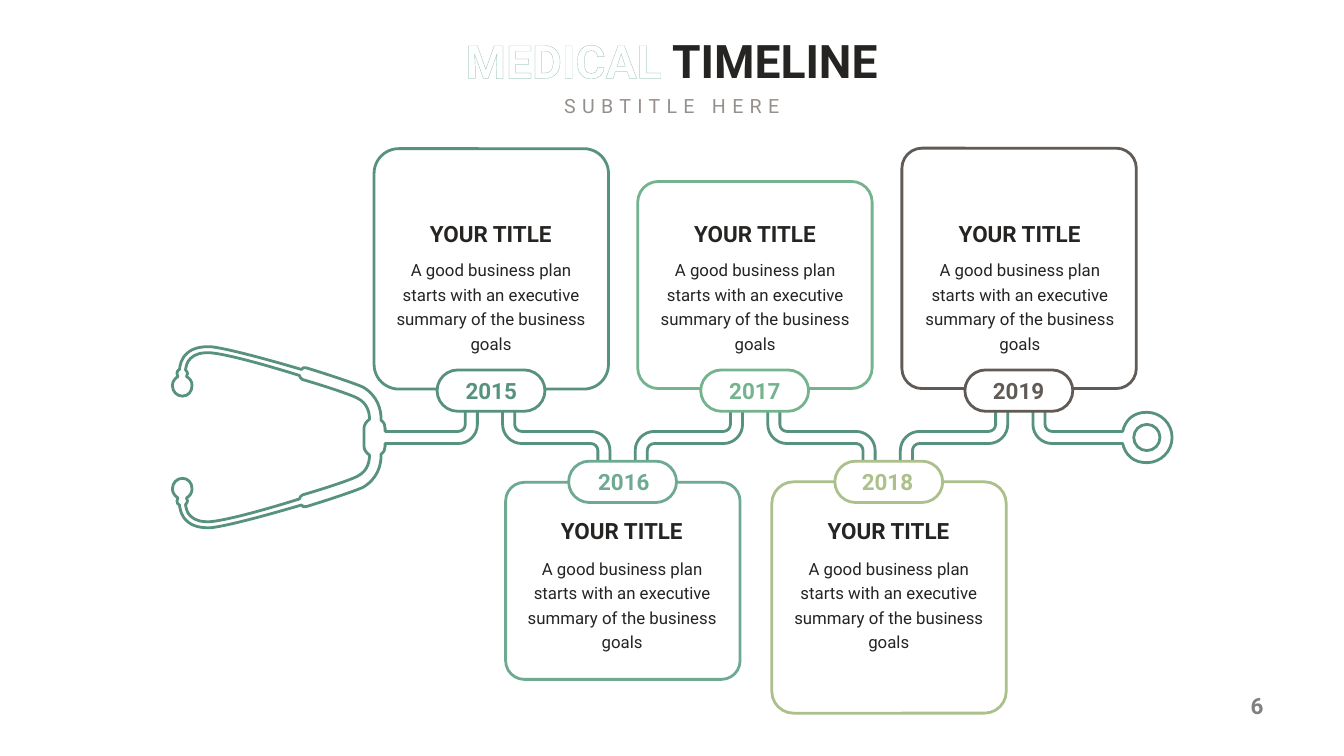
"""Build the medical timeline slide: a stethoscope tube linking five dated cards."""
import dataclasses
from typing import Any, NamedTuple, Optional

import pptx
import pptx.dml.color
import pptx.enum.shapes
import pptx.enum.text
import pptx.oxml.ns
import pptx.util
from lxml import etree

PX = 9144
WIDTH, HEIGHT = 2666, 1500
MID_Y = 868
TUBE_HALF, BEND_RADIUS = 12, 26
LOOP_X, LOOP_PITCH, LOOP_COUNT = 972, 263, 5
LOOP_HALF, LOOP_DEPTH = 37, 75
NECK_X, DISC_X, DISC_RADIUS, HOLE_RADIUS = 764, 2275, 50, 26
CIRCLE = 0.55
PILL_W, PILL_H = 214, 82
BODY = "A good business plan starts with an executive summary of the business goals"

ANCHOR = pptx.enum.text.MSO_ANCHOR
ALIGN = pptx.enum.text.PP_ALIGN
GROW = pptx.enum.text.MSO_AUTO_SIZE.SHAPE_TO_FIT_TEXT
ROUNDED = pptx.enum.shapes.MSO_SHAPE.ROUNDED_RECTANGLE

Point = tuple[float, float]
Segment = list[Point]


@dataclasses.dataclass(frozen=True)
class Theme:
    font: str = "Roboto"
    white: str = "FFFFFF"
    ink: str = "262422"
    muted: str = "96908D"
    number: str = "808080"
    tube: str = "57917F"
    outline: str = "6DAA91"
    title_size: int = 66
    heading_size: int = 32
    subtitle_size: int = 28
    body_size: int = 24
    line_width: int = 4


class Box(NamedTuple):
    x: int
    y: int
    w: int
    h: int


class Card(NamedTuple):
    year: str
    color: str
    box: Box
    radius: int
    year_x: int
    text_x: int
    above: bool


THEME = Theme()
CARDS = [
    Card("2015", "57917F", Box(742, 295, 465, 477), 49, 913, 757, True),
    Card("2017", "73B38E", Box(1265, 360, 465, 411), 41, 1436, 1281, True),
    Card("2019", "605B56", Box(1789, 294, 465, 477), 40, 1959, 1806, True),
    Card("2016", "6DAA91", Box(1003, 957, 465, 391), 37, 1176, 1017, False),
    Card("2018", "ACC08C", Box(1531, 956, 465, 459), 43, 1699, 1546, False),
]

HEADSET_START = (NECK_X, 850)
HEADSET_CURVES = [
    (764, 843, 762, 838, 756, 834), (756, 833, 756, 832, 756, 832),
    (756, 812, 749, 785, 720, 768), (707, 762, 654, 744, 608, 730),
    (604, 728, 599, 730, 598, 733), (530, 713, 453, 692, 419, 688),
    (398, 687, 381, 691, 370, 702), (359, 712, 357, 726, 356, 733),
    (353, 734, 351, 737, 351, 741), (351, 743, 352, 745, 353, 747),
    (347, 751, 342, 757, 342, 765), (342, 777, 351, 786, 362, 786),
    (373, 786, 381, 777, 381, 765), (381, 757, 377, 751, 370, 747),
    (371, 745, 372, 743, 372, 741), (372, 738, 370, 736, 368, 734),
    (369, 729, 370, 718, 378, 711), (387, 702, 401, 699, 418, 700),
    (451, 703, 527, 724, 594, 745), (594, 748, 597, 751, 600, 753),
    (658, 770, 700, 785, 709, 790), (731, 801, 733, 822, 733, 832),
    (727, 836, 722, 843, 722, 850),
]


def rgb(value: str) -> pptx.dml.color.RGBColor:
    return pptx.dml.color.RGBColor.from_string(value)


def apply(target: Any, values: dict[str, Any]) -> None:
    for name, value in values.items():
        setattr(target, name, value)


def place(box: Box) -> list[pptx.util.Emu]:
    return [pptx.util.Emu(v * PX) for v in box]


def backwards(start: Point, segments: list[Segment]) -> list[Segment]:
    """Reverse a run of segments, closing with its start point."""
    points = [start] + [seg[-1] for seg in segments]
    return [seg[-2::-1] + [points[i]] for i, seg in reversed(list(enumerate(segments)))]


def bend(x: float, y: float, radius: float, before: Point, after: Point) -> list[Segment]:
    """Run up to a corner and round it, given unit directions to its neighbours."""
    def along(direction: Point, reach: float) -> Point:
        return x + direction[0] * reach, y + direction[1] * reach
    pull = radius * (1 - CIRCLE)
    return [[along(before, radius)],
            [along(before, pull), along(after, pull), along(after, radius)]]


def circle(x: float, y: float, radius: float) -> list[Segment]:
    """Trace a full circle from its left point by way of its lowest."""
    around = [(-1, 0), (0, 1), (1, 0), (0, -1), (-1, 0)]
    segments = []
    for (ax, ay), (bx, by) in zip(around, around[1:]):
        unit = [(ax + CIRCLE * bx, ay + CIRCLE * by),
                (bx + CIRCLE * ax, by + CIRCLE * ay), (bx, by)]
        segments.append([(x + radius * u, y + radius * v) for u, v in unit])
    return segments


def tube_edge(side: int) -> list[Segment]:
    """Trace the lower (1) or upper (-1) edge of the tube from left to right."""
    segments: list[Segment] = []
    y = MID_Y + side * TUBE_HALF
    for i in range(LOOP_COUNT):
        x, turn = LOOP_X + i * LOOP_PITCH, 1 if i % 2 else -1
        shift = TUBE_HALF * side * turn
        half, far = LOOP_HALF + shift, y + turn * LOOP_DEPTH
        inner, outer = BEND_RADIUS - shift, BEND_RADIUS + shift
        segments += bend(x - half, y, inner, (-1, 0), (0, turn))
        segments += bend(x - half, far, outer, (0, -turn), (1, 0))
        segments += bend(x + half, far, outer, (-1, 0), (0, -turn))
        segments += bend(x + half, y, inner, (0, turn), (1, 0))
    return segments + [[(DISC_X - DISC_RADIUS + 2, y)]]


def style_shape(sp: Any, color: str, fill: Optional[str]) -> None:
    sp.shadow.inherit = False
    if fill:
        sp.fill.solid()
        sp.fill.fore_color.rgb = rgb(fill)
    else:
        sp.fill.background()
    sp.line.color.rgb = rgb(color)
    sp.line.width = pptx.util.Pt(THEME.line_width)


def draw_curves(s: Any, contours: list[list[Segment]]) -> Any:
    """Build a freeform through the segment ends, then bend its lines into cubics."""
    ends = [[(x * PX, y * PX) for x, y in (seg[-1] for seg in part)] for part in contours]
    builder = s.shapes.build_freeform(*ends[0][0], scale=1.0)
    for i, part in enumerate(ends):
        if i:
            builder.move_to(*part[0])
        builder.add_line_segments(part[1:], close=True)
    sp = builder.convert_to_shape()
    lines = list(sp._element.iter(pptx.oxml.ns.qn("a:lnTo")))
    for line, seg in zip(lines, [seg for part in contours for seg in part[1:]]):
        if len(seg) == 3:
            curve = etree.Element(pptx.oxml.ns.qn("a:cubicBezTo"))
            for x, y in seg:
                etree.SubElement(curve, pptx.oxml.ns.qn("a:pt"),
                                 x=str(round(x * PX - sp.left)), y=str(round(y * PX - sp.top)))
            line.getparent().replace(line, curve)
    return sp


def draw_stethoscope(s: Any) -> None:
    top = [[c[:2], c[2:4], c[4:]] for c in HEADSET_CURVES]
    bottom = [[(x, 2 * MID_Y - 1 - y) for x, y in seg] for seg in backwards(HEADSET_START, top)]
    low, high = MID_Y + TUBE_HALF, MID_Y - TUBE_HALF
    crossing = [[(722, 2 * MID_Y - 1 - 850)]]
    body = ([[HEADSET_START]] + top + crossing + bottom + [[(NECK_X, low)]] + tube_edge(1)
            + disc_rim() + backwards((NECK_X, high), tube_edge(-1)))
    hole = circle(DISC_X, MID_Y, HOLE_RADIUS)
    sp = draw_curves(s, [body, [[hole[-1][-1]]] + hole])
    style_shape(sp, THEME.tube, THEME.white)


def disc_rim() -> list[Segment]:
    """Trace the disc from the tube's lower edge round to its upper edge."""
    rim = circle(DISC_X, MID_Y, DISC_RADIUS)
    left, pull = DISC_X - DISC_RADIUS + 2, 22
    rim[0][0] = (left + 5, MID_Y + TUBE_HALF + pull)
    rim[-1][1:] = [(left + 5, MID_Y - TUBE_HALF - pull), (left, MID_Y - TUBE_HALF)]
    return rim


def round_rect(s: Any, box: Box, radius: int, color: str, fill: Optional[str] = None) -> None:
    sp = s.shapes.add_shape(ROUNDED, *place(box))
    sp.adjustments[0] = radius / min(box.w, box.h)
    style_shape(sp, color, fill)


def write(sp: Any, text: str, size: int, color: str, bold: bool = True, spacing: int = 0,
          align: Any = ALIGN.CENTER, **frame: Any) -> Any:
    tf = sp.text_frame
    apply(tf, {"word_wrap": False, "vertical_anchor": ANCHOR.TOP, "auto_size": GROW, **frame})
    p = tf.paragraphs[0]
    p.alignment = align
    r = p.add_run()
    r.text = text
    apply(r.font, {"name": THEME.font, "size": pptx.util.Pt(size), "bold": bold})
    r.font.color.rgb = rgb(color)
    if spacing:
        r.font._element.set("spc", str(spacing * 100))
    return r


def text_box(s: Any, box: Box, *args: Any, **kwargs: Any) -> Any:
    sp = s.shapes.add_textbox(*place(box))
    write(sp, *args, **kwargs)
    return sp


def outline_text(r: Any, color: str, width: int) -> None:
    qn = pptx.oxml.ns.qn
    ln = etree.Element(qn("a:ln"), w=str(pptx.util.Pt(width)))
    etree.SubElement(etree.SubElement(ln, qn("a:solidFill")), qn("a:srgbClr"), val=color)
    r.font._element.insert(0, ln)


def draw_frame(s: Any, card: Card) -> None:
    pill = Box(card.box.x + (card.box.w - PILL_W) // 2, 734 if card.above else 915, PILL_W, PILL_H)
    round_rect(s, card.box, card.radius, card.color)
    round_rect(s, pill, PILL_H // 2, card.color, THEME.white)


def draw_text(s: Any, card: Card) -> None:
    year_y, title_y, body_y = (743, 431, 498) if card.above else (924, 1021, 1087)
    anchor = ANCHOR.BOTTOM if card.above else ANCHOR.TOP
    text_box(s, Box(card.year_x, year_y, 123, 64), card.year, THEME.heading_size, card.color,
             vertical_anchor=ANCHOR.MIDDLE)
    text_box(s, Box(card.text_x + 84, title_y, 265, 64), "YOUR TITLE", THEME.heading_size,
             THEME.ink, vertical_anchor=anchor)
    side, edge = pptx.util.Emu(24 * PX), pptx.util.Emu(12 * PX)
    sp = text_box(s, Box(card.text_x, body_y, 434, 216), BODY, THEME.body_size, THEME.ink,
                  bold=False, word_wrap=True, vertical_anchor=anchor, margin_left=side,
                  margin_right=side, margin_top=edge, margin_bottom=edge)
    sp.text_frame.paragraphs[0].line_spacing = pptx.util.Pt(35)


def draw_title(s: Any) -> None:
    sp = s.shapes.title
    apply(sp, dict(zip(("left", "top", "width", "height"), place(Box(911, 59, 843, 121)))))
    outline_text(write(sp, "MEDICAL", THEME.title_size, THEME.white), THEME.outline, 2)
    write(sp, " TIMELINE", THEME.title_size, THEME.ink)
    text_box(s, Box(1097, 181, 471, 57), "SUBTITLE HERE", THEME.subtitle_size, THEME.muted,
             bold=False, spacing=9)


def main() -> None:
    prs = pptx.Presentation()
    apply(prs, {"slide_width": WIDTH * PX, "slide_height": HEIGHT * PX})
    s = prs.slides.add_slide(prs.slide_layouts[5])
    draw_stethoscope(s)
    for draw in (draw_frame, draw_text):
        for card in CARDS:
            draw(s, card)
    draw_title(s)
    text_box(s, Box(2429, 1368, 87, 64), "6", THEME.heading_size, THEME.number,
             spacing=3, align=ALIGN.RIGHT)
    prs.save("out.pptx")


if __name__ == "__main__":
    main()
